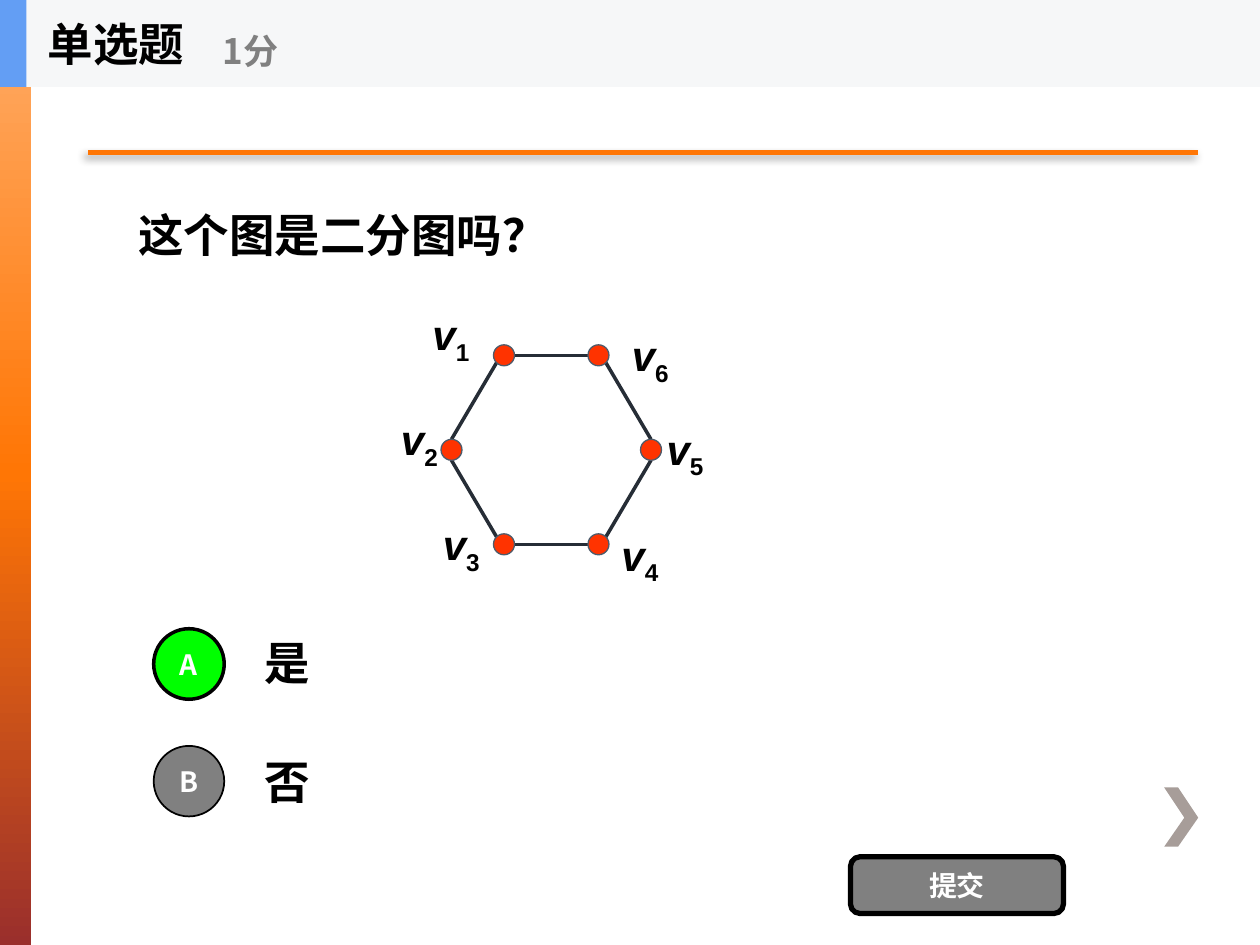
"""Build a single-choice quiz slide about a six-vertex graph."""
from lxml import etree
from pptx import Presentation
from pptx.dml.color import RGBColor
from pptx.enum.shapes import MSO_CONNECTOR, MSO_SHAPE
from pptx.enum.text import MSO_ANCHOR, PP_ALIGN
from pptx.oxml import parse_xml
from pptx.oxml.ns import qn
from pptx.util import Inches, Pt

RECT, OVAL, ROUND = MSO_SHAPE.RECTANGLE, MSO_SHAPE.OVAL, MSO_SHAPE.ROUNDED_RECTANGLE
NODE, LINE = MSO_SHAPE.FLOWCHART_CONNECTOR, MSO_CONNECTOR.STRAIGHT
MID, TOP = MSO_ANCHOR.MIDDLE, MSO_ANCHOR.TOP
LEFT, MIDDLE = PP_ALIGN.LEFT, PP_ALIGN.CENTER
CJK, LATIN = "Noto Sans CJK SC", "Arial"
NS = 'xmlns:a="http://schemas.openxmlformats.org/drawingml/2006/main"'
U = 1 / 12

deck = Presentation()
deck.slide_width, deck.slide_height = Inches(10), Inches(7.5)
slide = deck.slides.add_slide(deck.slide_layouts[6])
shapes = slide.shapes
color = RGBColor.from_string


def form(kind, box, fill, edge=None, width=0):
    item = shapes.add_shape(kind, *map(Inches, box))
    item.shadow.inherit = False
    item.fill.solid()
    item.fill.fore_color.rgb = color(fill)
    if edge:
        item.line.color.rgb = color(edge)
        item.line.width = Pt(width)
    else:
        item.line.fill.background()
    return item


def write(item, text, size, ink="000000", face=CJK, align=LEFT, anchor=MID, wrap=True):
    frame = item.text_frame
    frame.word_wrap, frame.vertical_anchor = wrap, anchor
    para = frame.paragraphs[0]
    para.alignment = align
    para.add_run().text = text
    font = para.font
    font.size, font.bold, font.name = Pt(size), True, face
    font.color.rgb = color(ink)
    etree.SubElement(font._element, qn("a:ea")).set("typeface", face)
    return para


side = form(RECT, (0, 0, 0.25, 7.5), "FF7605")
side.fill.gradient()
side.fill.gradient_angle = 270
stops = side._element.spPr.find(qn("a:gradFill")).find(qn("a:gsLst"))
stops.clear()
for pos, tone in ((0, "FFAD69"), (50, "FF7605"), (100, "9A2F2C")):
    stops.append(parse_xml(f'<a:gs {NS} pos="{pos * 1000}"><a:srgbClr val="{tone}"/></a:gs>'))

pen = shapes.build_freeform(Inches(9.35), Inches(6.25))
pen.add_line_segments([(Inches(x), Inches(y)) for x, y in (
    (9.24, 6.25), (9.4, 6.49), (9.24, 6.72), (9.35, 6.72), (9.51, 6.49))])
arrow = pen.convert_to_shape()
arrow.shadow.inherit = False
arrow.fill.solid()
arrow.fill.fore_color.rgb = color("A79D99")
arrow.line.fill.background()

rule = shapes.add_connector(LINE, *map(Inches, (0.7, 1.21, 9.51, 1.21)))
rule.line.color.rgb, rule.line.width = color("FF7605"), Pt(2.5)
rule._element.spPr.append(parse_xml(
    f'<a:effectLst {NS}><a:outerShdw blurRad="{Pt(5)}" dist="{Pt(3)}" dir="8100000">'
    '<a:srgbClr val="000000"><a:alpha val="45000"/></a:srgbClr></a:outerShdw></a:effectLst>'))

for text, top, high in (("这个图是二分图吗？", 0.69, 2.34), ("是", 4.91, 0.7), ("否", 5.85, 0.7)):
    left, wide = (1, 8) if high > 1 else (2, 7)
    write(shapes.add_textbox(*map(Inches, (left, top, wide, high))), text, 26)

for kind, box, fill, width, text in (
        (OVAL, (1.22, 4.99, 0.56, 0.56), "00FF00", 2, "A"),
        (OVAL, (1.22, 5.92, 0.56, 0.56), "808080", 1, "B"),
        (ROUND, (6.75, 6.8, 1.69, 0.45), "808080", 3, "提交")):
    write(form(kind, box, fill, "000000", width), text, 16, "FFFFFF", align=MIDDLE)

rows = [2.82 + 9 * U * n for n in range(3)]
nodes = {
    1: (48 * U, rows[0], -8, -5), 2: (43 * U, rows[1], -6, -4),
    3: (48 * U, rows[2], -7, -3), 4: (57 * U, rows[2], 1, -2),
    5: (62 * U, rows[1], 0.3, -3.1), 6: (57 * U, rows[0], 2, -3)}
R, D = U, 0.7 * U
edges = (
    (1, 2, (-D, D), (0, -R)), (2, 3, (0, R), (-D, -D)), (3, 4, (R, 0), (-R, 0)),
    (4, 5, (D, -D), (0, R)), (5, 6, (0, -R), (D, D)), (6, 1, (-R, 0), (R, 0)))

for head, tail, out, into in edges:
    ends = [nodes[head][n] + out[n] for n in (0, 1)] + [nodes[tail][n] + into[n] for n in (0, 1)]
    edge = shapes.add_connector(LINE, *map(Inches, ends))
    edge.line.color.rgb, edge.line.width = color("262D36"), Pt(2)
    etree.SubElement(edge._element.spPr, qn("a:effectLst"))

for num, (x, y, right, down) in nodes.items():
    form(NODE, (x - R, y - R, 2 * R, 2 * R), "FF3300", "4D5B6B", 0.75)
    label = shapes.add_textbox(*map(Inches, (x + right * U, y + down * U, 9 * U, 6 * U)))
    para = write(label, "v", 24, face=LATIN, anchor=TOP)
    para.runs[0].font.italic = True
    sub = para.add_run()
    sub.text = str(num)
    sub.font._element.set("baseline", "-25000")

form(RECT, (0, 0, 10, 0.69), "F6F7F8")
form(RECT, (0, 0, 0.21, 0.69), "639EF4")
for text, box, size, ink in (
        ("单选题", (0.28, 0, 2.08, 0.69), 26, "000000"),
        ("1分", (1.67, 0.12, 2.5, 0.56), 20, "808080")):
    write(shapes.add_textbox(*map(Inches, box)), text, size, ink, wrap=False)

deck.save("out.pptx")
